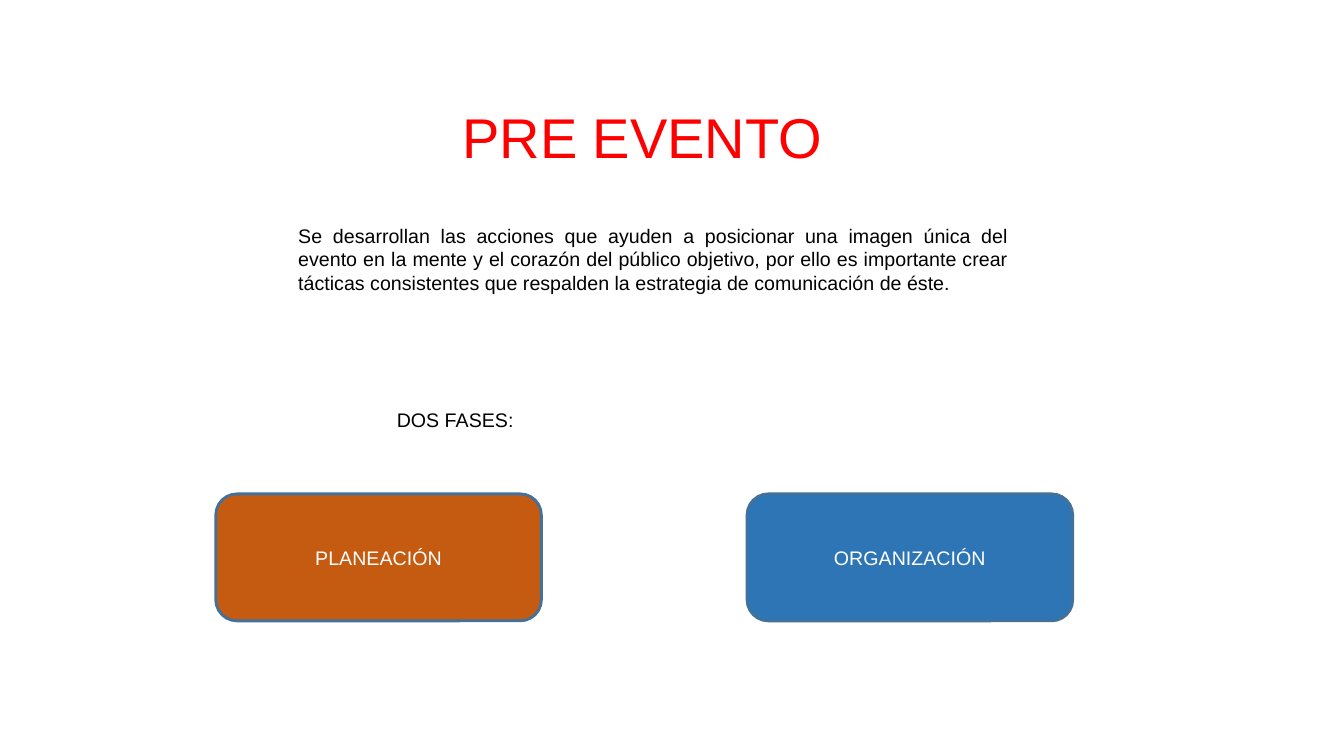
import pptx
import pptx.util
import pptx.dml.color
import pptx.enum.shapes
import pptx.enum.text

Inches = pptx.util.Inches
Pt = pptx.util.Pt
RGBColor = pptx.dml.color.RGBColor
ALIGN = pptx.enum.text.PP_ALIGN
ANCHOR = pptx.enum.text.MSO_ANCHOR

RED = RGBColor(0xFF, 0x00, 0x00)
BLACK = RGBColor(0x00, 0x00, 0x00)
WHITE = RGBColor(0xFF, 0xFF, 0xFF)
ORANGE = RGBColor(0xC5, 0x5A, 0x11)
BLUE = RGBColor(0x2E, 0x75, 0xB5)
OUTLINE = RGBColor(0x42, 0x71, 0x9B)


def write_text(box, text, size, color, align, **frame_format):
    frame = box.text_frame
    frame.word_wrap = True
    for name, value in frame_format.items():
        setattr(frame, name, value)
    para = frame.paragraphs[0]
    para.alignment = align
    span = para.add_run()
    span.text = text
    for name, value in {"name": "Arial", "size": Pt(size)}.items():
        setattr(span.font, name, value)
    span.font.color.rgb = color


deck = pptx.Presentation()
deck.slide_width = Inches(13.33)
deck.slide_height = Inches(7.5)
page = deck.slides.add_slide(deck.slide_layouts[6])

title = page.shapes.add_textbox(Inches(1.87), Inches(0.92), Inches(9), Inches(0.4))
write_text(title, "PRE EVENTO", 40, RED, ALIGN.CENTER, margin_top=Inches(0.1))

description = page.shapes.add_textbox(Inches(2.86), Inches(2.17), Inches(7.24), Inches(1.62))
write_text(
    description,
    "Se desarrollan las acciones que ayuden a posicionar una imagen única del evento "
    "en la mente y el corazón del público objetivo, por ello es importante crear "
    "tácticas consistentes que respalden la estrategia de comunicación de éste.",
    14, BLACK, ALIGN.JUSTIFY,
)

phases = [("PLANEACIÓN", 2.14, ORANGE), ("ORGANIZACIÓN", 7.41, BLUE)]
for label, left, fill in phases:
    phase = page.shapes.add_shape(
        pptx.enum.shapes.MSO_SHAPE.ROUNDED_RECTANGLE,
        Inches(left), Inches(4.9), Inches(3.23), Inches(1.26),
    )
    phase.shadow.inherit = False
    phase.fill.solid()
    phase.fill.fore_color.rgb = fill
    phase.line.color.rgb = OUTLINE
    phase.line.width = Pt(2)
    write_text(phase, label, 14, WHITE, ALIGN.CENTER, vertical_anchor=ANCHOR.MIDDLE)

heading = page.shapes.add_textbox(Inches(2.86), Inches(4), Inches(3.31), Inches(0.4))
write_text(heading, "DOS FASES:", 14, BLACK, ALIGN.CENTER)

deck.save("out.pptx")
